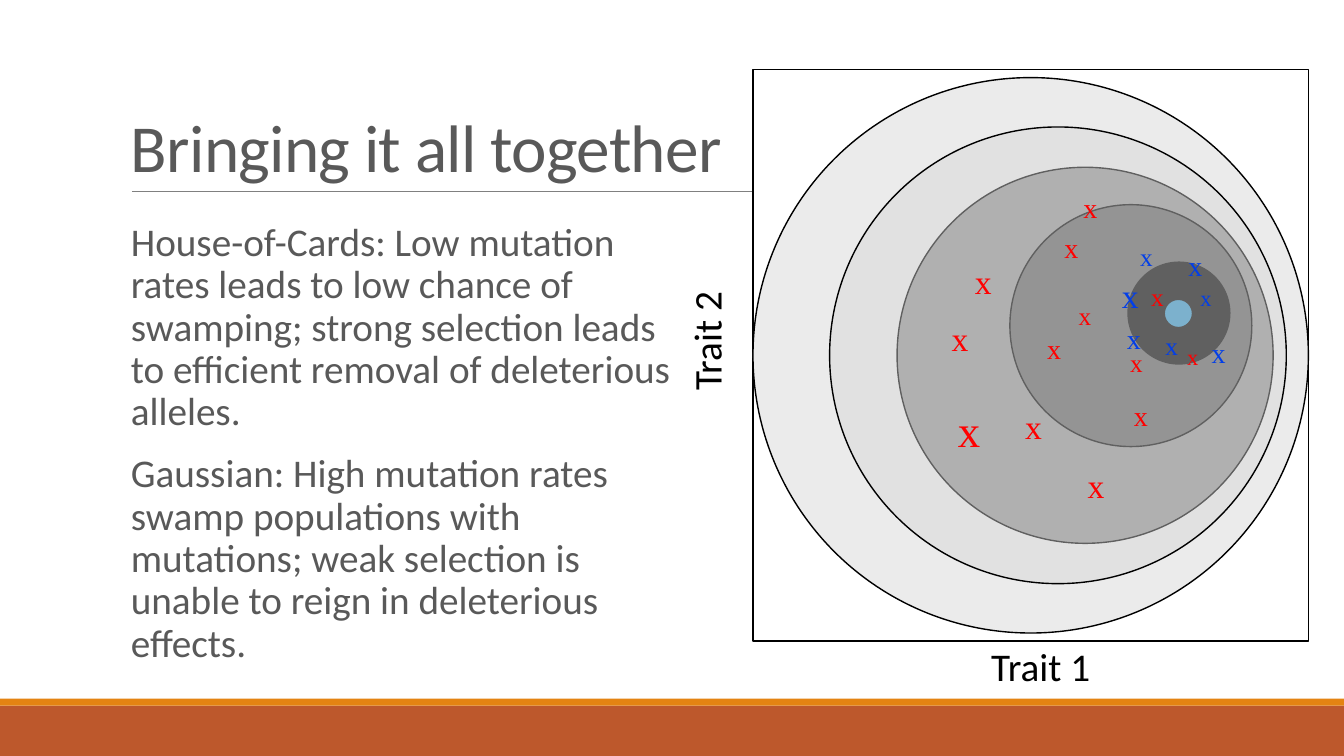
from dataclasses import dataclass

from lxml import etree
from pptx import Presentation
from pptx.dml.color import RGBColor
from pptx.enum.shapes import MSO_CONNECTOR, MSO_SHAPE
from pptx.enum.text import MSO_ANCHOR, PP_ALIGN
from pptx.oxml.ns import qn
from pptx.util import Pt

RECT, OVAL = MSO_SHAPE.RECTANGLE, MSO_SHAPE.OVAL
STRAIGHT = MSO_CONNECTOR.STRAIGHT
LEFT, CENTER = PP_ALIGN.LEFT, PP_ALIGN.CENTER
TOP, BOTTOM = MSO_ANCHOR.TOP, MSO_ANCHOR.BOTTOM


@dataclass(frozen=True)
class Theme:
    font: str = "Calibri"
    mark_font: str = "Times New Roman"
    title_size: int = 48
    body_size: int = 28
    text: str = "595959"
    black: str = "000000"
    white: str = "FFFFFF"
    rule: str = "808080"
    band: str = "BD582C"
    stripe: str = "E48312"
    blue: str = "023EE8"
    red: str = "FF0000"


THEME = Theme()

TITLE = "Bringing it all together"
BODY = [
    "House-of-Cards: Low mutation rates leads to low chance of swamping; "
    "strong selection leads to efficient removal of deleterious alleles.",
    "Gaussian: High mutation rates swamp populations with mutations; "
    "weak selection is unable to reign in deleterious effects.",
]

# Fitness contours, back to front: centre x, centre y, diameter, fill, opacity
CONTOURS = [
    (736.2, 253.8, 396.7, "EBEBEB", 100),
    (775.1, 253.8, 268.6, "929292", 100),
    (807.8, 232.6, 172.8, "5E5E5E", 100),
    (842.1, 223.6, 72.7, "000000", 100),
    (841.7, 223.9, 20.2, "3394C6", 100),
    (755.7, 253.8, 326.2, "D6D6D6", 45),
]

# Population marks: centre x, centre y, type size
BLUE_MARKS = [
    (853.9, 189.4, 20), (807.5, 211, 24), (837, 247, 18), (870.5, 252, 20),
    (861.5, 212.8, 16), (810, 241.9, 20), (819, 182.9, 18),
]
RED_MARKS = [
    (779, 148.3, 20), (765.4, 176.4, 20), (702.4, 200.9, 24),
    (811.8, 259.2, 18), (753.1, 249.1, 20), (775.1, 225.4, 18),
    (738.4, 304.6, 24), (852.1, 254.5, 16), (826.9, 211.7, 18),
    (815, 296.6, 20), (685.8, 241.2, 24), (692.3, 306.7, 32),
    (783, 346.3, 24),
]


def rgb(color):
    return RGBColor.from_string(color)


def add_shape(s, kind, x, y, w, h, fill, line=None, opacity=100):
    sp = s.shapes.add_shape(kind, Pt(x), Pt(y), Pt(w), Pt(h))
    sp.shadow.inherit = False
    sp.fill.solid()
    sp.fill.fore_color.rgb = rgb(fill)
    if opacity < 100:
        color = sp.fill._xPr.find(qn("a:solidFill"))[0]
        etree.SubElement(color, qn("a:alpha"), val=str(opacity * 1000))
    if line:
        sp.line.color.rgb = rgb(line)
        sp.line.width = Pt(1)
    else:
        sp.line.fill.background()


def add_rule(s, x1, x2, y):
    line = s.shapes.add_connector(STRAIGHT, Pt(x1), Pt(y), Pt(x2), Pt(y))
    line.line.color.rgb = rgb(THEME.rule)
    line.line.width = Pt(0.5)
    etree.SubElement(line._element.spPr, qn("a:effectLst"))


def add_text(s, x, y, w, h, lines, size, color, font=THEME.font,
             align=LEFT, anchor=TOP, spacing=1.0, before=0, after=0,
             wrap=True, tracking=0):
    sp = s.shapes.add_textbox(Pt(x), Pt(y), Pt(w), Pt(h))
    tf = sp.text_frame
    tf.word_wrap = wrap
    tf.vertical_anchor = anchor
    tf.text = "\n".join(lines)
    for p in tf.paragraphs:
        p.alignment = align
        p.line_spacing = spacing
        p.space_before, p.space_after = Pt(before), Pt(after)
        r = p.runs[0]
        r.font.name, r.font.size = font, Pt(size)
        r.font.color.rgb = rgb(color)
        if tracking:
            r.font._element.set("spc", str(int(tracking * 100)))
    return sp


def add_mark(s, cx, cy, size, color):
    w, h = 0.5 * size + 14.4, 1.2 * size + 7.2
    add_text(s, cx - w / 2, cy - h / 2, w, h, ["x"], size, color,
             font=THEME.mark_font, wrap=False)


def add_axis_label(s, cx, cy, text, rotation=0):
    w, h = 107.3, 41
    sp = add_text(s, cx - w / 2, cy - h / 2, w, h, [text], THEME.body_size,
                  THEME.black, align=CENTER)
    sp.rotation = rotation


def main():
    prs = Presentation()
    prs.slide_width, prs.slide_height = Pt(960), Pt(540)
    s = prs.slides.add_slide(prs.slide_layouts[6])

    # Footer bands and title rule
    add_shape(s, RECT, 0, 504, 960, 36, THEME.band)
    add_shape(s, RECT, 0, 499, 960, 5, THEME.stripe)
    add_rule(s, 94.3, 879.1, 136.8)

    # Fitness landscape
    add_shape(s, RECT, 537.8, 49.7, 396.7, 408.2, THEME.white, THEME.black)
    for cx, cy, d, fill, opacity in CONTOURS:
        add_shape(s, OVAL, cx - d / 2, cy - d / 2, d, d, fill, THEME.black,
                  opacity)

    # Population marks
    for marks, color in ((BLUE_MARKS, THEME.blue), (RED_MARKS, THEME.red)):
        for cx, cy, size in marks:
            add_mark(s, cx, cy, size, color)

    # Title and body
    add_text(s, 86.4, 22.3, 792, 114.5, [TITLE], THEME.title_size, THEME.text,
             anchor=BOTTOM, spacing=0.85, tracking=-0.5)
    body = add_text(s, 86.4, 155.5, 399.6, 316.8, BODY, THEME.body_size,
                    THEME.text, spacing=0.9, before=12, after=2)
    body.text_frame.margin_left, body.text_frame.margin_right = Pt(7.2), 0

    # Axis labels
    add_axis_label(s, 743.4, 475.6, "Trait 1")
    add_axis_label(s, 504.4, 243.7, "Trait 2", rotation=270)

    prs.save("out.pptx")


if __name__ == "__main__":
    main()
